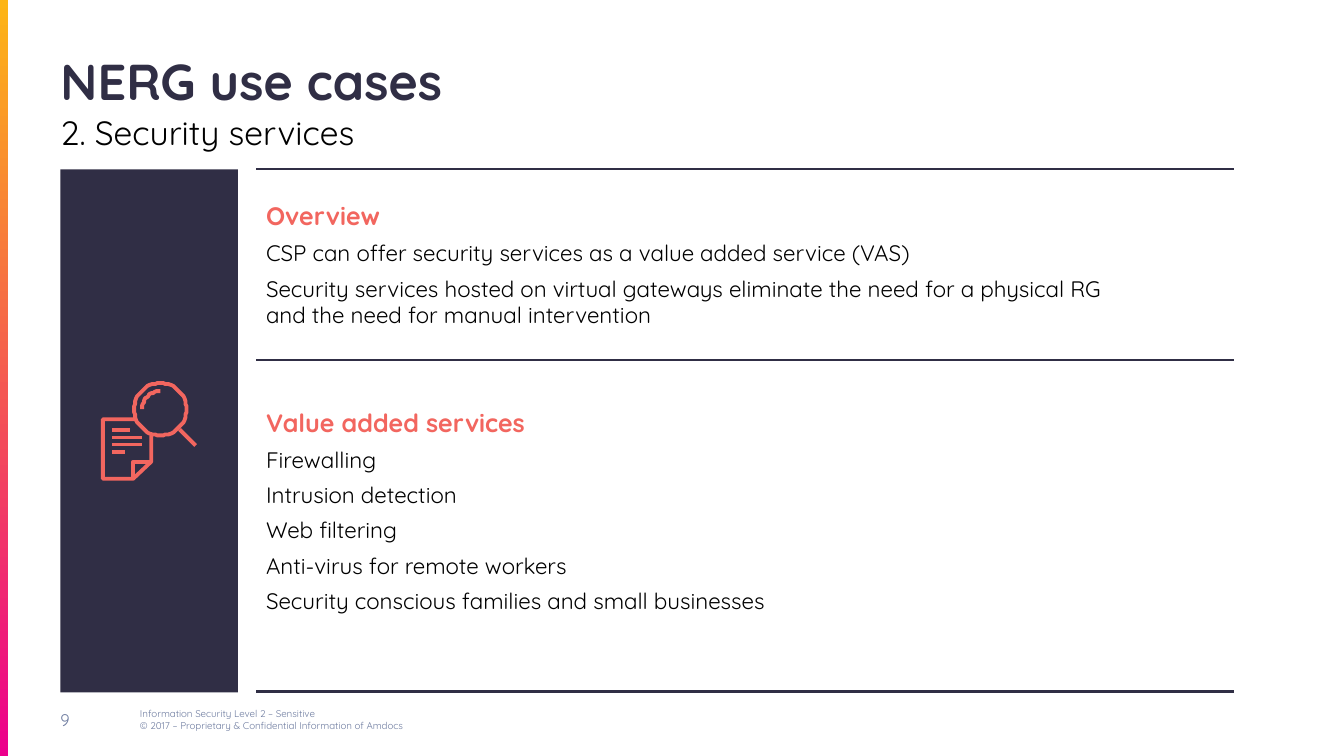
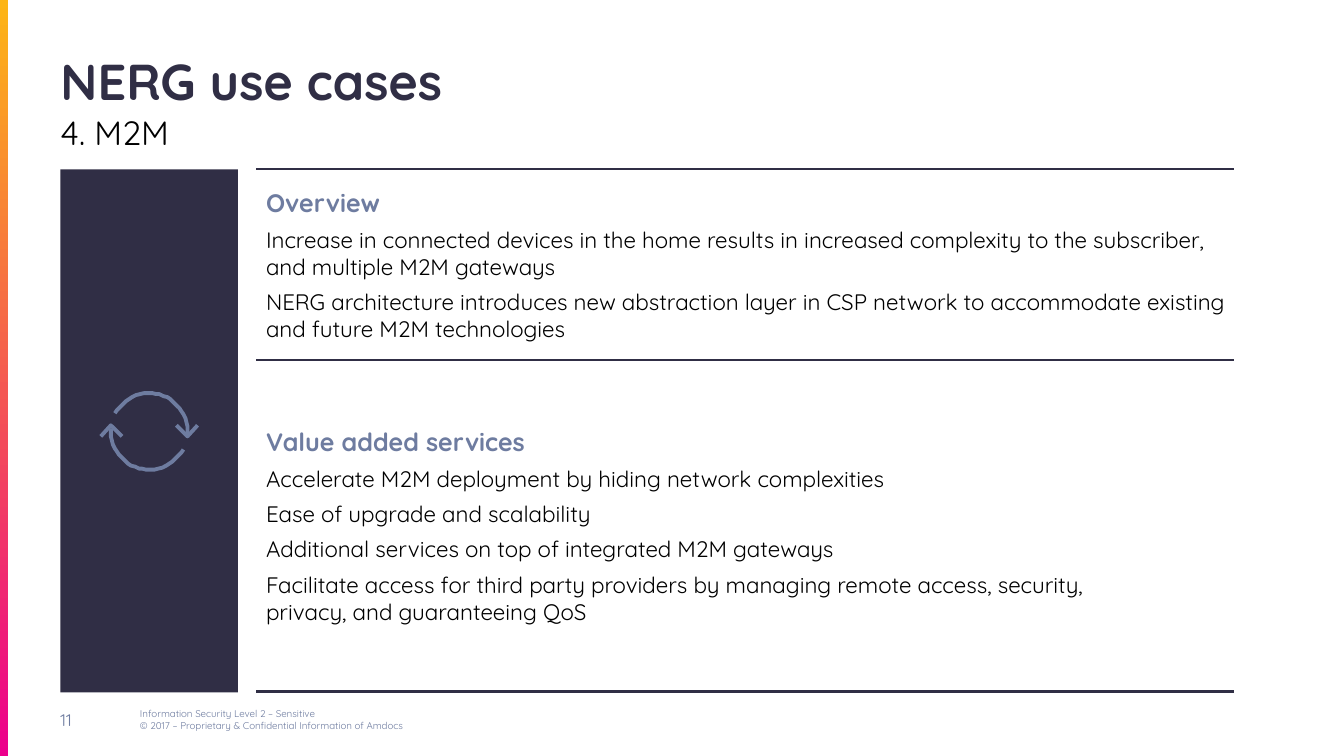
"""Build two use-case slides with a shared frame, an icon panel and two text sections."""
import math

from lxml import etree
from pptx import Presentation
from pptx import util as u
from pptx.dml.color import RGBColor
from pptx.enum import shapes, text
from pptx.oxml.ns import qn

PX = 9144
FONT = "Quicksand"
NAVY, SLATE, CORAL, BLACK = "302E45", "6E7CA0", "F2665F", "000000"
YELLOW, PINK = "FDB515", "EC008C"
TOP, MIDDLE, BOTTOM = text.MSO_ANCHOR.TOP, text.MSO_ANCHOR.MIDDLE, text.MSO_ANCHOR.BOTTOM
FOOTER = "Information Security Level 2 – Sensitive\v© 2017 – Proprietary & Confidential Information of Amdocs"
RULES = [(168, 1.5), (357, 1), (686, 1.5)]
ICON_WEIGHT = 2.75
ARC_STEP = 6

USE_CASES = [
    {
        "page": "9",
        "subtitle": "2. Security services",
        "accent": CORAL,
        "sections": [
            (197, 131, MIDDLE, "Overview", [
                "CSP can offer security services as a value added service (VAS)",
                "Security services hosted on virtual gateways eliminate the need for a physical RG"
                "\vand the need for manual intervention",
            ]),
            (399, 247, TOP, "Value added services", [
                "Firewalling",
                "Intrusion detection",
                "Web filtering",
                "Anti-virus for remote workers",
                "Security conscious families and small businesses",
            ]),
        ],
        "outlines": [
            [(134, 416), (102, 416), (102, 475), (132, 475), (150, 458), (150, 432)],
            [(132, 475), (132, 458), (150, 458)],
            [(178, 426), (194, 442)],
            [(111, 427), (129, 427)],
            [(111, 434), (141, 434)],
            [(111, 441), (141, 441)],
            [(111, 448), (124, 448)],
        ],
        "arcs": [(159, 406, 26, 0, 360), (159, 406, 18, 180, 270)],
    },
    {
        "page": "11",
        "subtitle": "4. M2M",
        "accent": SLATE,
        "sections": [
            (180, 165, MIDDLE, "Overview", [
                "Increase in connected devices in the home results in increased complexity to the "
                "subscriber, and multiple M2M gateways",
                "NERG architecture introduces new abstraction layer in CSP network to accommodate "
                "existing and future M2M technologies",
            ]),
            (418, 208, TOP, "Value added services", [
                "Accelerate M2M deployment by hiding network complexities",
                "Ease of upgrade and scalability",
                "Additional services on top of integrated M2M gateways",
                "Facilitate access for third party providers by managing remote access, security,"
                "\vprivacy, and guaranteeing QoS",
            ]),
        ],
        "outlines": [
            [(175, 422), (186, 433), (196, 422)],
            [(100, 433), (110, 422), (121, 433)],
        ],
        "arcs": [(148, 428, 38, 208, 364), (148, 428, 38, 28, 184)],
    },
]


def color(value):
    """Turn a hex string into a colour."""
    return RGBColor.from_string(value)


def add_text(slide, box, lines, anchor=TOP, inset=(0, 0, 0, 0)):
    """Add a text box whose lines are (text, size, colour, bold) tuples."""
    frame = slide.shapes.add_textbox(*(value * PX for value in box)).text_frame
    frame.word_wrap = True
    frame.vertical_anchor = anchor
    frame.margin_left, frame.margin_top, frame.margin_right, frame.margin_bottom = (
        value * PX for value in inset)
    for index, (content, size, ink, bold) in enumerate(lines):
        paragraph = frame.add_paragraph() if index else frame.paragraphs[0]
        paragraph.text = content
        for run in paragraph.runs:
            run.font.name, run.font.size, run.font.bold = FONT, u.Pt(size), bold
            run.font.color.rgb = color(ink)
    return frame


presentation = Presentation()
presentation.slide_width, presentation.slide_height = 1333 * PX, 750 * PX

for case in USE_CASES:
    slide = presentation.slides.add_slide(presentation.slide_layouts[6])
    accent = case["accent"]

    bar, panel = (
        slide.shapes.add_shape(shapes.MSO_SHAPE.RECTANGLE, *(value * PX for value in box))
        for box in ((0, 0, 8, 750), (60, 168, 176, 519)))
    bar.fill.gradient()
    bar.fill.gradient_angle = 270
    for stop, tint in zip(bar.fill.gradient_stops, (YELLOW, PINK)):
        stop.color.rgb = color(tint)
    panel.fill.solid()
    panel.fill.fore_color.rgb = color(NAVY)
    for shape in (bar, panel):
        shape.shadow.inherit = False
        shape.line.fill.background()

    add_text(slide, (60, 49, 1213, 61), [("NERG use cases", 36, NAVY, True)], BOTTOM)
    add_text(slide, (60, 111, 1213, 48), [(case["subtitle"], 24, BLACK, False)])
    add_text(slide, (60, 694, 69, 40), [(case["page"], 12, SLATE, False)], MIDDLE, (0, 5, 10, 5))
    add_text(slide, (129, 694, 450, 40), [(FOOTER, 7, SLATE, False)], MIDDLE, (10, 5, 10, 5))

    for top, height, anchor, heading, items in case["sections"]:
        lines = [(heading, 18, accent, True)] + [(item, 16, BLACK, False) for item in items]
        frame = add_text(slide, (254, top, 978, height), lines, anchor, (10, 5, 10, 5))
        for paragraph in frame.paragraphs:
            paragraph.space_after = u.Pt(6)

    for y, weight in RULES:
        rule = slide.shapes.add_connector(
            shapes.MSO_CONNECTOR.STRAIGHT, 254 * PX, y * PX, 1224 * PX, y * PX)
        rule.line.color.rgb = color(NAVY)
        rule.line.width = u.Pt(weight)
        etree.SubElement(rule._element.spPr, qn("a:effectLst"))

    outlines = list(case["outlines"])
    for x, y, radius, first, last in case["arcs"]:
        angles = [math.radians(degrees) for degrees in range(first, last + 1, ARC_STEP)]
        outlines.append([(x + radius * math.cos(angle), y + radius * math.sin(angle))
                         for angle in angles])
    builder = slide.shapes.build_freeform(*outlines[0][0], scale=PX)
    for index, (start, *rest) in enumerate(outlines):
        if index:
            builder.move_to(*start)
        builder.add_line_segments(rest, close=False)
    icon = builder.convert_to_shape()
    icon.shadow.inherit = False
    icon.fill.background()
    icon.line.color.rgb = color(accent)
    icon.line.width = u.Pt(ICON_WEIGHT)

presentation.save("out.pptx")
